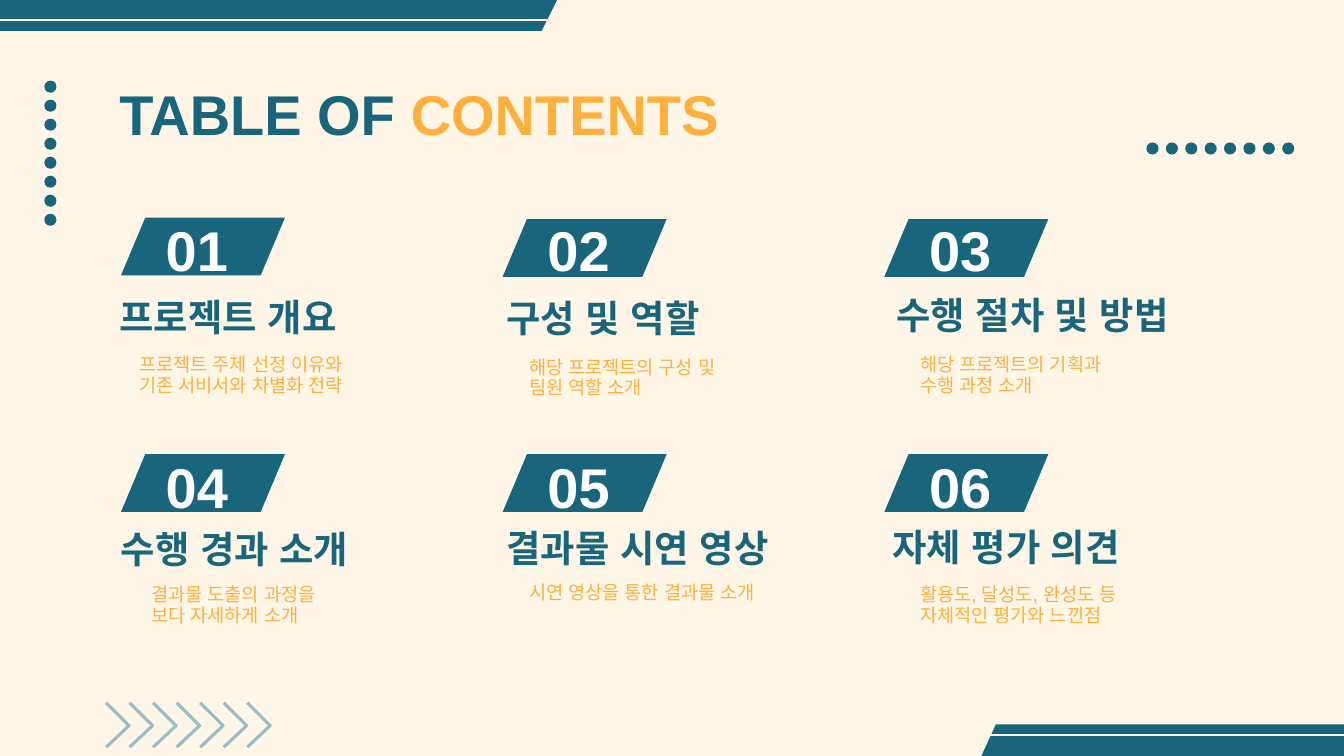
from pptx import Presentation
from pptx.dml.color import RGBColor as Rgb
from pptx.enum.shapes import MSO_CONNECTOR as Link, MSO_SHAPE as Shape
from pptx.enum.text import MSO_ANCHOR as Anchor, PP_ALIGN as Align
from pptx.oxml.ns import qn
from pptx.util import Inches, Pt
from lxml.etree import SubElement

FACE = "Arial"
TEAL = Rgb(0x19, 0x65, 0x7C)
GOLD = Rgb(0xFD, 0xB0, 0x3E)
CREAM = Rgb(0xFF, 0xF6, 0xE7)
MIST = Rgb(0x97, 0xBD, 0xC6)
WHITE = Rgb(0xFF, 0xFF, 0xFF)

TOPICS = [
    (1.62, "프로젝트 개요", 0.79, 2.04,
     ["프로젝트 주제 선정 이유와", "기존 서비서와 차별화 전략"], 0.77, 2.54),
    (1.63, "구성 및 역할", 3.67, 2.05,
     ["해당 프로젝트의 구성 및", "팀원 역할 소개"], 3.67, 2.56),
    (1.63, "수행 절차 및 방법", 6.57, 2.03,
     ["해당 프로젝트의 기획과", "수행 과정 소개"], 6.58, 2.54),
    (3.38, "수행 경과 소개", 0.8, 3.77,
     ["결과물 도출의 과정을", "보다 자세하게 소개"], 0.86, 4.25),
    (3.38, "결과물 시연 영상", 3.67, 3.76,
     ["시연 영상을 통한 결과물 소개"], 3.67, 4.26),
    (3.38, "자체 평가 의견", 6.54, 3.75,
     ["활용도, 달성도, 완성도 등", "자체적인 평가와 느낀점"], 6.58, 4.25),
]


def paint(shape, color):
    """Fill a shape with one colour, without line or shadow."""
    shape.shadow.inherit = False
    shape.fill.solid()
    shape.fill.fore_color.rgb = color
    shape.line.fill.background()


def add_path(shapes, points, close):
    """Draw straight segments through points given in inches."""
    first, *rest = [(Inches(x), Inches(y)) for x, y in points]
    pen = shapes.build_freeform(*first)
    pen.add_line_segments(rest, close=close)
    return pen.convert_to_shape()


def add_band(shapes, points):
    """Draw a solid slanted band."""
    paint(add_path(shapes, points, True), TEAL)


def add_rule(shapes, left, right, y):
    """Draw a thin level line across a band."""
    line = shapes.add_connector(
        Link.STRAIGHT, Inches(left), Inches(y), Inches(right), Inches(y))
    line.line.color.rgb = CREAM
    line.line.width = Pt(0.75)
    SubElement(line._element.spPr, qn("a:effectLst"))


def add_dots(shapes, left, top, wide, high):
    """Draw eight dots spread evenly over a distance."""
    for i in range(8):
        dot = shapes.add_shape(
            Shape.OVAL, Inches(left + i * wide / 7), Inches(top + i * high / 7),
            Inches(0.09), Inches(0.09))
        paint(dot, TEAL)


def add_arrow(shapes, left):
    """Draw one open chevron."""
    points = [(left, 5.23), (left + 0.17, 5.4), (left, 5.56)]
    arrow = add_path(shapes, points, False)
    arrow.shadow.inherit = False
    arrow.fill.background()
    arrow.line.color.rgb = MIST
    arrow.line.width = Pt(1.64)


def add_text(shapes, box, lines, size, color, bold=True, anchor=Anchor.TOP):
    """Add a text box and return its paragraphs."""
    frame = shapes.add_textbox(*map(Inches, box)).text_frame
    frame.word_wrap = True
    frame.vertical_anchor = anchor
    frame.margin_left = frame.margin_right = Inches(0.1)
    frame.margin_top = frame.margin_bottom = Inches(0.1)
    frame.text = "\n".join(lines)
    for para in frame.paragraphs:
        font = para.font
        font.name, font.size, font.bold = FACE, Pt(size), bold
        font.color.rgb = color
        props = para._p.pPr.find(qn("a:defRPr"))
        SubElement(props, qn("a:ea")).set("typeface", FACE)
    return frame.paragraphs


def add_title(shapes):
    """Add the two-colour title."""
    para = add_text(shapes, (0.79, 0.49, 8.43, 0.63), ["TABLE OF "], 30, TEAL)[0]
    run = para.add_run()
    run.text = "CONTENTS"
    run.font.color.rgb = GOLD


def add_badge(shapes, left, top):
    """Draw the slanted plate behind a number."""
    badge = shapes.add_shape(
        Shape.PARALLELOGRAM, Inches(left), Inches(top), Inches(1.22), Inches(0.43))
    badge.adjustments[0] = 0.42
    paint(badge, TEAL)


def add_topic(shapes, i, topic):
    """Add one numbered topic with its heading and note."""
    top, head, x, y, note, note_x, note_y = topic
    left = 0.9 + i % 3 * 2.84
    add_badge(shapes, left, top)
    num = add_text(shapes, (left, 1.66 + i // 3 * 1.76, 1.13, 0.39),
                   [f"{i + 1:02}"], 30, WHITE, anchor=Anchor.MIDDLE)
    num[0].alignment = Align.CENTER
    add_text(shapes, (x, y, 2.51, 0.58), [head], 20, TEAL, anchor=Anchor.BOTTOM)
    for para in add_text(shapes, (note_x, note_y, 2.51, 0.64), note, 10, GOLD, False):
        para.line_spacing = 0.93
        props = para._p.get_or_add_pPr()
        props.set("marL", str(Inches(0.5)))
        props.set("indent", str(Inches(-0.33)))


def main():
    """Build the contents slide."""
    deck = Presentation()
    deck.slide_width, deck.slide_height = Inches(10), Inches(10 * 9 / 16)
    slide = deck.slides.add_slide(deck.slide_layouts[6])
    slide.background.fill.solid()
    slide.background.fill.fore_color.rgb = CREAM
    shapes = slide.shapes
    add_band(shapes, [(0, -0.01), (0, 0.23), (4.03, 0.23), (4.15, -0.01)])
    add_rule(shapes, 0, 4.24, 0.15)
    add_band(shapes, [(7.41, 5.39), (7.3, 5.63), (10, 5.63), (10, 5.39)])
    add_rule(shapes, 7.2, 10, 5.47)
    add_dots(shapes, 8.53, 1.06, 1.01, 0)
    add_dots(shapes, 0.33, 0.6, 0, 0.99)
    for i in range(7):
        add_arrow(shapes, 0.79 + i * 1.05 / 6)
    add_title(shapes)
    for i, topic in enumerate(TOPICS):
        add_topic(shapes, i, topic)
    deck.save("out.pptx")


if __name__ == "__main__":
    main()
